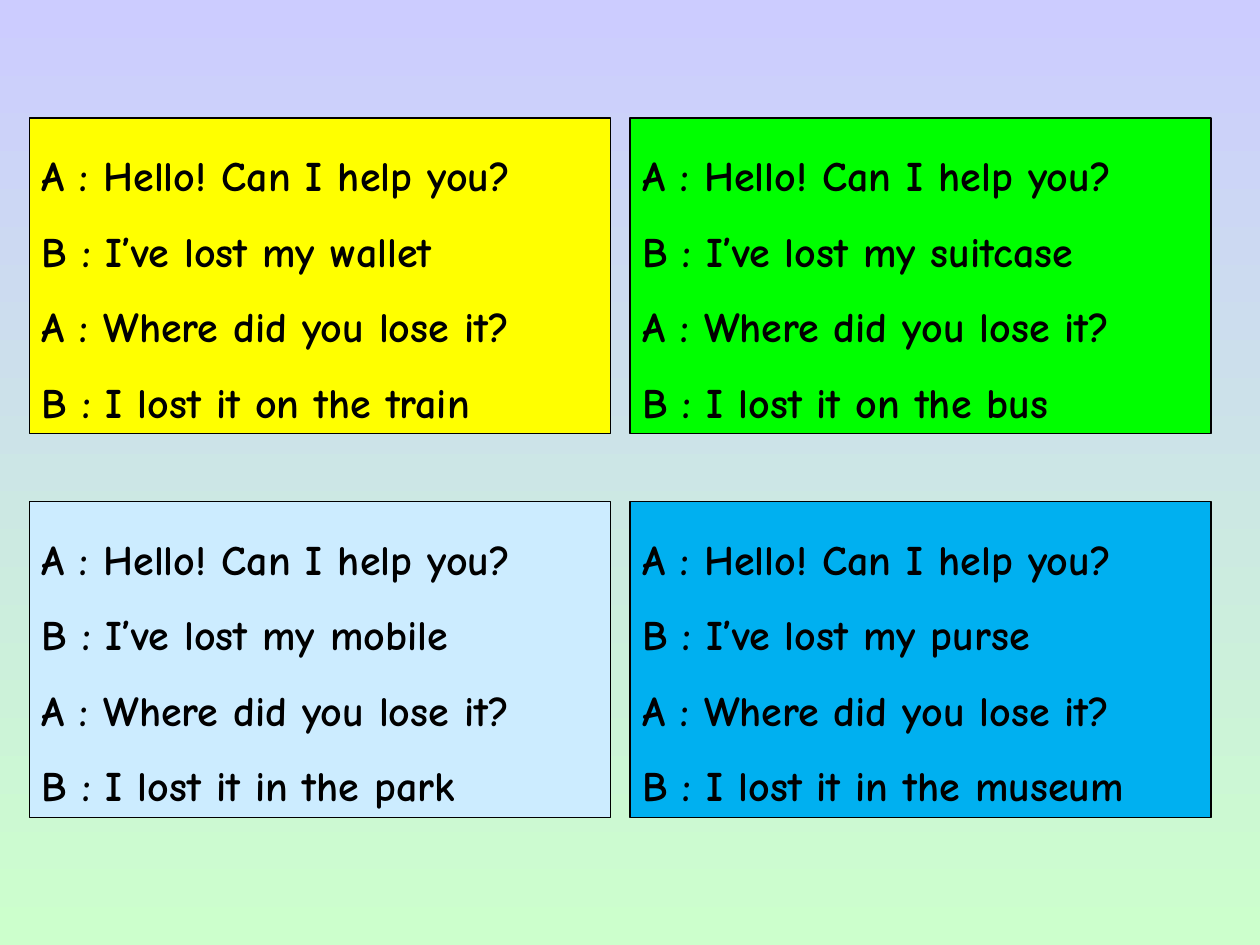
from dataclasses import dataclass

from pptx import Presentation
from pptx.dml.color import RGBColor as RGB
from pptx.enum.shapes import MSO_SHAPE as Preset
from pptx.enum.text import MSO_ANCHOR as Anchor
from pptx.enum.text import MSO_AUTO_SIZE as AutoSize
from pptx.enum.text import PP_ALIGN as Align
from pptx.slide import Slide
from pptx.util import Pt


@dataclass(frozen=True)
class Theme:
    font: str = "Comic Neue"
    text_size: float = 24
    line_spacing: float = 1.5
    border_width: float = 0.75
    ink: str = "000000"
    sky: str = "CCCCFF"
    meadow: str = "CCFFCC"
    yellow: str = "FFFF00"
    green: str = "00FF00"
    pale_blue: str = "CCECFF"
    blue: str = "00B0F0"


@dataclass(frozen=True)
class Dialogue:
    item: str
    place: str
    fill: str

    def lines(self) -> list[str]:
        return [
            "A : Hello! Can I help you?",
            f"B : I’ve lost my {self.item}",
            "A : Where did you lose it?",
            f"B : I lost it {self.place}",
        ]


THEME = Theme()

# Card grid, in points
COLUMNS = 2
LEFT, TOP = 16.75, 67.5
CARD_WIDTH, CARD_HEIGHT = 332, 180.3
COLUMN_STEP, ROW_STEP = 343.25, 219.2

DIALOGUES = [
    Dialogue("wallet", "on the train", THEME.yellow),
    Dialogue("suitcase", "on the bus", THEME.green),
    Dialogue("mobile", "in the park", THEME.pale_blue),
    Dialogue("purse", "in the museum", THEME.blue),
]


def paint_background(slide: Slide) -> None:
    fill = slide.background.fill
    fill.gradient()
    fill.gradient_angle = 270  # top to bottom
    for stop, color in zip(fill.gradient_stops, (THEME.sky, THEME.meadow)):
        stop.color.rgb = RGB.from_string(color)


def draw_card(slide: Slide, dialogue: Dialogue, left: float, top: float) -> None:
    card = slide.shapes.add_shape(
        Preset.RECTANGLE, Pt(left), Pt(top), Pt(CARD_WIDTH), Pt(CARD_HEIGHT)
    )
    card.shadow.inherit = False
    card.fill.solid()
    card.fill.fore_color.rgb = RGB.from_string(dialogue.fill)
    card.line.color.rgb = RGB.from_string(THEME.ink)
    card.line.width = Pt(THEME.border_width)

    speech = card.text_frame
    speech.word_wrap = True
    speech.auto_size = AutoSize.SHAPE_TO_FIT_TEXT
    speech.vertical_anchor = Anchor.TOP
    for index, line in enumerate(dialogue.lines()):
        paragraph = speech.add_paragraph() if index else speech.paragraphs[0]
        paragraph.alignment = Align.LEFT
        paragraph.line_spacing = THEME.line_spacing
        run = paragraph.add_run()
        run.text = line
        run.font.name = THEME.font
        run.font.size = Pt(THEME.text_size)
        run.font.bold = True
        run.font.color.rgb = RGB.from_string(THEME.ink)


def main() -> None:
    deck = Presentation()
    deck.slide_width, deck.slide_height = Pt(720), Pt(540)
    slide = deck.slides.add_slide(deck.slide_layouts[6])
    paint_background(slide)

    # Four dialogues, row by row
    for index, dialogue in enumerate(DIALOGUES):
        row, column = divmod(index, COLUMNS)
        draw_card(slide, dialogue, LEFT + column * COLUMN_STEP, TOP + row * ROW_STEP)

    deck.save("out.pptx")


if __name__ == "__main__":
    main()
